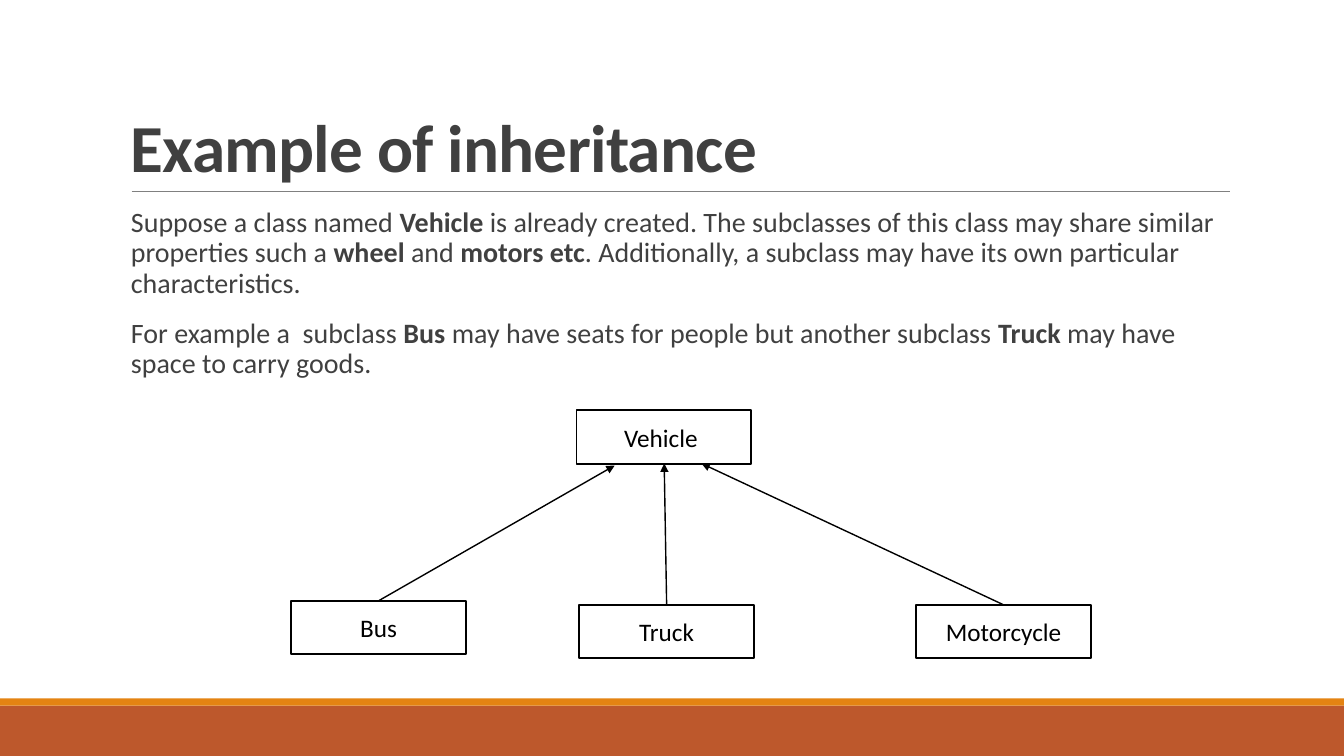
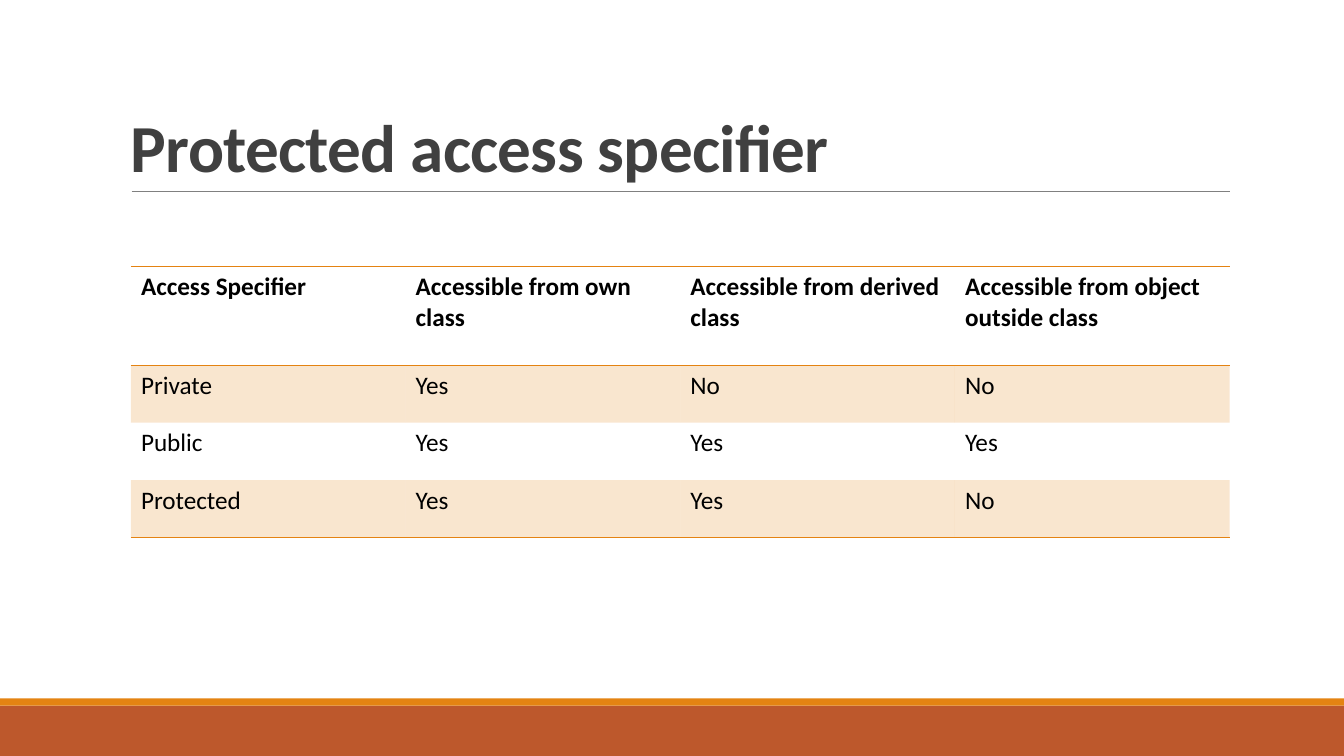
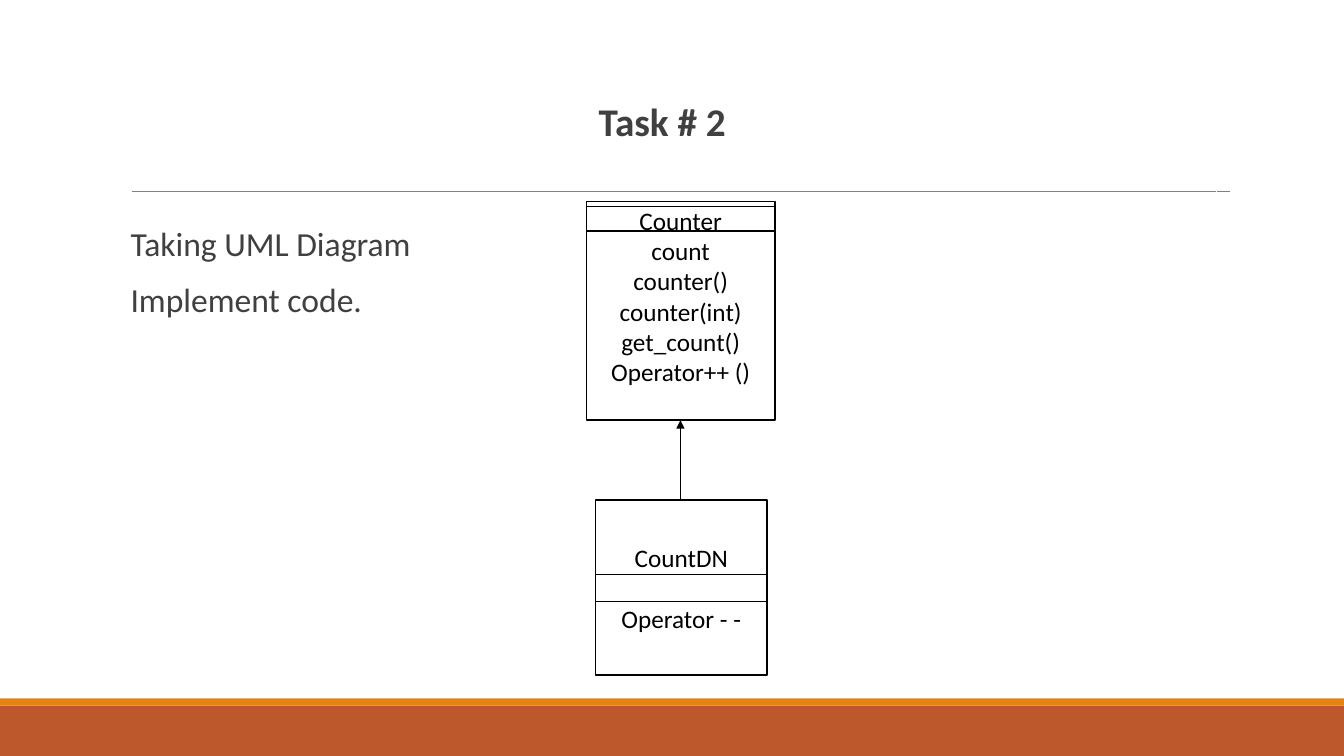
from pptx import Presentation, util as u
from pptx.dml.color import RGBColor
from pptx.enum import shapes, text
from pptx.oxml import parse_xml
from pptx.oxml.ns import nsdecls, qn

FONT = "Calibri"
INK, BLACK, WHITE = "404040", "000000", "FFFFFF"
RUST, ORANGE, GREY = "BD582C", "E48312", "808080"
WIDTH, HEIGHT = 33.87, 19.05
LEFT, CONTENT_W = 3.05, 27.94
NO_TABLE_STYLE = "{2D5ABB26-0587-4C30-8999-92F81FD0307C}"


def rgb(value):
    """Turn a hex string into a colour."""
    return RGBColor.from_string(value)


def xml(tag, inner="", attrs=""):
    """Build one DrawingML element."""
    return parse_xml(f"<a:{tag} {nsdecls('a')} {attrs}>{inner}</a:{tag}>")


class Deck:
    """Shared style and the slide being built."""

    def __init__(self):
        """Start an empty wide presentation."""
        self.prs = Presentation()
        self.prs.slide_width, self.prs.slide_height = u.Cm(WIDTH), u.Cm(HEIGHT)
        self.s = None

    def slide(self, title=None):
        """Add a slide with its bands, rule and optional title."""
        self.s = self.prs.slides.add_slide(self.prs.slide_layouts[6])
        self.rect(0, 17.78, WIDTH, 1.27, RUST)
        self.rect(0, 17.6, WIDTH, 0.18, ORANGE)
        self.line(3.32, 4.82, 31, 4.82, GREY, 0.5)
        if title:
            sp = self.s.shapes.add_textbox(u.Cm(LEFT), u.Cm(0.79), u.Cm(CONTENT_W), u.Cm(4.04))
            sp.text_frame.word_wrap = True
            sp.text_frame.vertical_anchor = text.MSO_ANCHOR.BOTTOM
            p = sp.text_frame.paragraphs[0]
            p.line_spacing = 0.85
            r = self.run(p, title, 48, INK, True)
            r.font._element.set("spc", "-50")

    def rect(self, x, y, w, h, fill=None, line=None, weight=1.25):
        """Add a plain rectangle."""
        sp = self.s.shapes.add_shape(
            shapes.MSO_SHAPE.RECTANGLE, u.Cm(x), u.Cm(y), u.Cm(w), u.Cm(h))
        sp.shadow.inherit = False
        if fill:
            sp.fill.solid()
            sp.fill.fore_color.rgb = rgb(fill)
        else:
            sp.fill.background()
        if line:
            sp.line.color.rgb = rgb(line)
            sp.line.width = u.Pt(weight)
        else:
            sp.line.fill.background()
        return sp

    def line(self, x1, y1, x2, y2, color=BLACK, weight=1, arrow=False):
        """Add a straight line, with an arrowhead at its end if asked."""
        c = self.s.shapes.add_connector(
            shapes.MSO_CONNECTOR.STRAIGHT, u.Cm(x1), u.Cm(y1), u.Cm(x2), u.Cm(y2))
        c.line.color.rgb = rgb(color)
        c.line.width = u.Pt(weight)
        if arrow:
            c.line._get_or_add_ln().append(xml("tailEnd", attrs='type="triangle"'))
        c._element.spPr.append(xml("effectLst"))

    def run(self, p, words, size, color=BLACK, bold=False):
        """Add one styled run to a paragraph."""
        r = p.add_run()
        r.text = words
        r.font.name, r.font.size, r.font.bold = FONT, u.Pt(size), bold
        r.font.color.rgb = rgb(color)
        return r

    def paragraph(self, tf, first, parts, size, indent=0.0, before=12):
        """Add body text whose parts alternate between regular and bold."""
        p = tf.paragraphs[0] if first else tf.add_paragraph()
        p.alignment = text.PP_ALIGN.LEFT
        p.line_spacing = 0.9
        p.space_before, p.space_after = u.Pt(before), u.Pt(2)
        p._p.get_or_add_pPr().set("marL", str(u.Cm(indent)))
        for i, part in enumerate(parts):
            if part:
                self.run(p, part, size, INK, i % 2 == 1)
        return p

    def body(self, x, y, w, h, line=None):
        """Add a top-anchored body frame and return its text frame."""
        tf = self.rect(x, y, w, h, line=line, weight=0.75).text_frame
        tf.word_wrap = True
        tf.vertical_anchor = text.MSO_ANCHOR.TOP
        tf.margin_left = tf.margin_right = 0
        return tf

    def box(self, x, y, w, h, lines, bottom=0.0, gap=0):
        """Add an outlined diagram box; gap is the space between its lines."""
        tf = self.rect(x, y, w, h, WHITE, BLACK).text_frame
        tf.word_wrap = True
        tf.vertical_anchor = text.MSO_ANCHOR.MIDDLE
        tf.margin_top, tf.margin_bottom = 0, u.Cm(bottom)
        for i, words in enumerate(lines):
            p = tf.add_paragraph() if i else tf.paragraphs[0]
            p.alignment = text.PP_ALIGN.CENTER
            p.space_before = u.Pt(gap if i else 0)
            self.run(p, words, 18)

    def table(self, x, y, w, heights, rows):
        """Add a table with a ruled header and tinted odd rows."""
        last = len(rows) - 1
        t = self.s.shapes.add_table(len(rows), len(rows[0]), u.Cm(x), u.Cm(y),
                                    u.Cm(w), u.Cm(sum(heights))).table
        t._tbl.tblPr.find(qn("a:tableStyleId")).text = NO_TABLE_STYLE
        t.first_row = t.horz_banding = False
        for col in t.columns:
            col.width = u.Cm(w / len(rows[0]))
        for i, row in enumerate(rows):
            t.rows[i].height = u.Cm(heights[i])
            sides = {0: ("lnB", "lnT"), last: ("lnB",)}.get(i, ())
            for j, words in enumerate(row):
                cell = t.cell(i, j)
                self.run(cell.text_frame.paragraphs[0], words, 18, bold=i == 0)
                self.tint(cell, i % 2 == 1)
                for side in sides:
                    self.border(cell, side)

    def tint(self, cell, on):
        """Fill a cell with see-through orange, or leave it clear."""
        if not on:
            cell.fill.background()
            return
        cell.fill.solid()
        cell.fill.fore_color.rgb = rgb(ORANGE)
        color = cell._tc.tcPr.find(".//" + qn("a:srgbClr"))
        color.append(xml("alpha", attrs='val="20000"'))

    def border(self, cell, side):
        """Rule one side of a cell in orange."""
        fill = f'<a:solidFill><a:srgbClr val="{ORANGE}"/></a:solidFill>'
        cell._tc.get_or_add_tcPr().insert(0, xml(side, fill, f'w="{u.Pt(1)}"'))


def inheritance(d):
    """Build the vehicle class example."""
    d.slide("Example of inheritance")
    tf = d.body(LEFT, 5.13, CONTENT_W, 11.18)
    d.paragraph(tf, True, [
        "Suppose a class named ", "Vehicle ",
        "is already created. The subclasses of this class may share similar properties such a ",
        "wheel", " and ", "motors etc",
        ". Additionally, a subclass may have its own particular characteristics. "], 20, 0.25)
    d.paragraph(tf, False, [
        "For example a  subclass ", "Bus ",
        "may have seats for people but another subclass ", "Truck ",
        "may have space to carry goods."], 20, 0.25)
    w, h = 4.4, 1.35
    d.box(14.53, 10.34, w, h, ["Vehicle "])
    subclasses = [("Truck", 14.6, 15.24, 16.74, 11.68),
                  ("Bus", 7.34, 15.14, 15.49, 11.73),
                  ("Motorcycle", 23.09, 15.24, 17.68, 11.68)]
    for name, x, y, end_x, end_y in subclasses:
        d.box(x, y, w, h, [name])
        d.line(x + w / 2, y, end_x, end_y, arrow=True)


def access(d):
    """Build the access specifier table."""
    d.slide("Protected access specifier")
    d.table(3.3, 6.71, 27.69, [2.49, 1.45, 1.45, 1.45], [
        ["Access Specifier", "Accessible from own class ",
         "Accessible from derived class", "Accessible from object outside class"],
        ["Private", "Yes", "No", "No"],
        ["Public ", "Yes", "Yes", "Yes"],
        ["Protected", "Yes", "Yes", "No"]])


def task(d):
    """Build the UML task."""
    d.slide()
    tf = d.body(2.72, 2.46, CONTENT_W, 15.04, line=WHITE)
    heading = d.paragraph(tf, True, ["", "Task # 2"], 28)
    heading.alignment = text.PP_ALIGN.CENTER
    d.paragraph(tf, False, ["Taking UML Diagram "], 24, 0.57, before=57)
    d.paragraph(tf, False, ["Implement code."], 24, 0.57)
    d.box(14.78, 5.08, 4.75, 5.51, ["Counter", "count", "counter()", "counter(int)",
                                    "get_count()", "Operator++ ()"], bottom=0.75)
    d.box(15.01, 12.6, 4.32, 4.42, ["CountDN", "Operator - -"], gap=22)
    d.line(17.15, 12.6, 17.15, 10.59, arrow=True)
    for x, w, dividers in [(14.78, 4.75, (5.21, 5.82)), (15.01, 4.32, (14.47, 15.16))]:
        for y in dividers:
            d.line(x, y, x + w, y)


deck = Deck()
for build in (inheritance, access, task):
    build(deck)
deck.prs.save("out.pptx")
